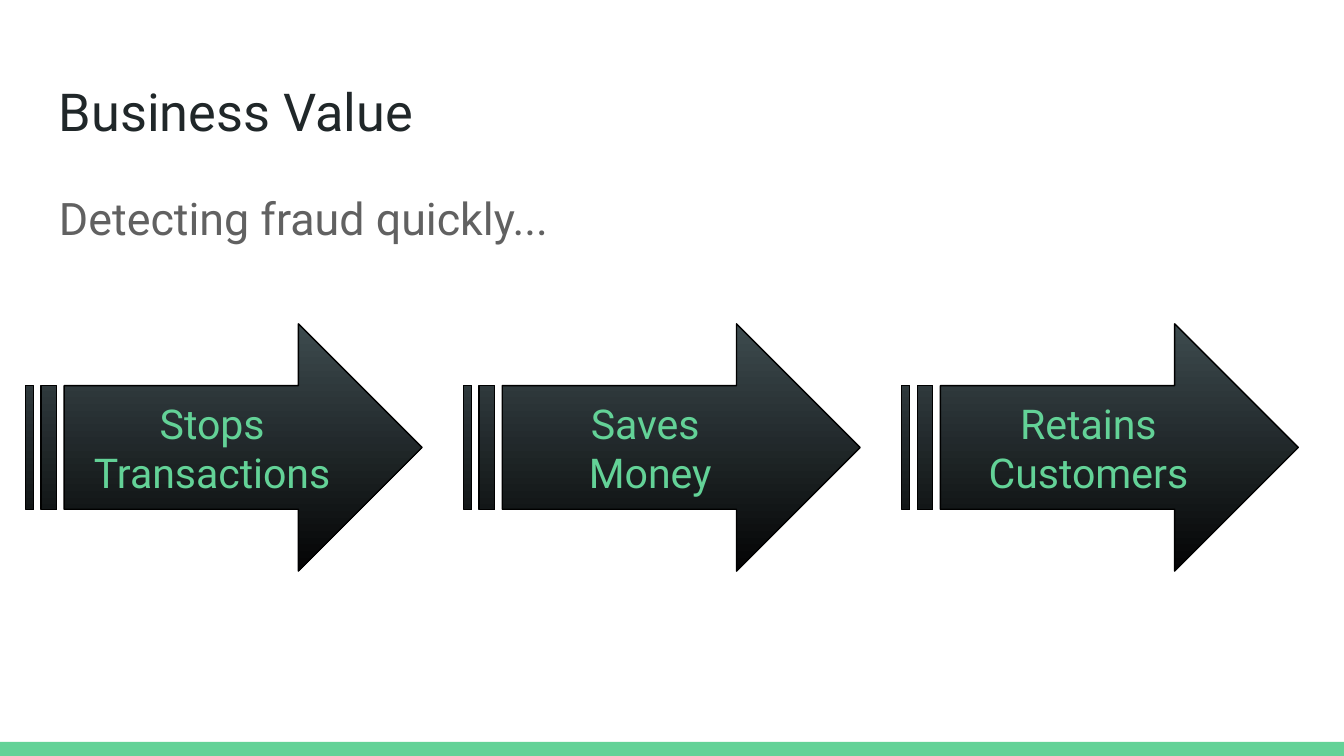
from pptx import Presentation
from pptx.dml.color import RGBColor
from pptx.enum.shapes import MSO_SHAPE
from pptx.enum.text import MSO_ANCHOR, PP_ALIGN
from pptx.util import Inches, Pt

RECT = MSO_SHAPE.RECTANGLE
ARROW = MSO_SHAPE.STRIPED_RIGHT_ARROW
TOP, MIDDLE = MSO_ANCHOR.TOP, MSO_ANCHOR.MIDDLE
LEFT, CENTER = PP_ALIGN.LEFT, PP_ALIGN.CENTER

WIDTH = 10
HEIGHT = WIDTH * 9 / 16
FONT = "Roboto"
GREEN, INK, GREY = "63D297", "202729", "616161"
DARK, BLACK = ("3D4B4E", "040405"), "000000"
STEPS = ["Stops Transactions", "Saves \nMoney", "Retains Customers"]


def color(code):
    """Turn a hex string into a colour."""
    return RGBColor.from_string(code)


def write(shape, text, size, ink, align=LEFT, anchor=TOP, line=None, after=0):
    """Fill a shape with text, one paragraph per line."""
    frame = shape.text_frame
    frame.word_wrap = True
    frame.vertical_anchor = anchor
    frame.margin_left = frame.margin_right = Inches(0.1)
    frame.margin_top = frame.margin_bottom = Inches(0.1)
    frame.text = text
    for para in frame.paragraphs:
        para.alignment = align
        para.line_spacing = line
        para.space_after = Pt(after)
        font = para.runs[0].font
        font.name, font.size = FONT, Pt(size)
        font.color.rgb = color(ink)


def footer(slide, x, y, w, h):
    """Draw the plain bar along the bottom edge."""
    bar = slide.shapes.add_shape(RECT, Inches(x), Inches(y), Inches(w), Inches(h))
    bar.shadow.inherit = False
    bar.fill.solid()
    bar.fill.fore_color.rgb = color(GREEN)
    bar.line.fill.background()


def header(slide, x, y, w):
    """Place the title and the lead line below it."""
    title = slide.shapes.add_textbox(Inches(x), Inches(y), Inches(w), Inches(0.63))
    write(title, "Business Value", 28, INK)
    lead = slide.shapes.add_textbox(Inches(x), Inches(y + 0.77), Inches(4.12), Inches(0.83))
    write(lead, "Detecting fraud quickly...", 24, GREY, line=1.15, after=16)


def arrow(slide, text, x, y, w, h):
    """Draw one striped arrow with its label."""
    shape = slide.shapes.add_shape(ARROW, Inches(x), Inches(y), Inches(w), Inches(h))
    shape.shadow.inherit = False
    shape.fill.gradient()
    shape.fill.gradient_angle = 270
    for stop, code, place in zip(shape.fill.gradient_stops, DARK, (0, 1)):
        stop.color.rgb = color(code)
        stop.position = place
    shape.line.color.rgb = color(BLACK)
    shape.line.width = Pt(0.75)
    write(shape, text, 22, GREEN, align=CENTER, anchor=MIDDLE)


def steps(slide, x, y, w, h, gap):
    """Set the arrows in a row with equal gaps."""
    for i, text in enumerate(STEPS):
        arrow(slide, text, x + i * (w + gap), y, w, h)


def main():
    """Build and save the slide."""
    deck = Presentation()
    deck.slide_width, deck.slide_height = Inches(WIDTH), Inches(HEIGHT)
    slide = deck.slides.add_slide(deck.slide_layouts[6])
    footer(slide, 0, 5.52, WIDTH, HEIGHT - 5.52)
    header(slide, 0.34, 0.49, 9.32)
    steps(slide, 0.19, 2.41, 2.95, 1.84, 0.31)
    deck.save("out.pptx")


if __name__ == "__main__":
    main()
